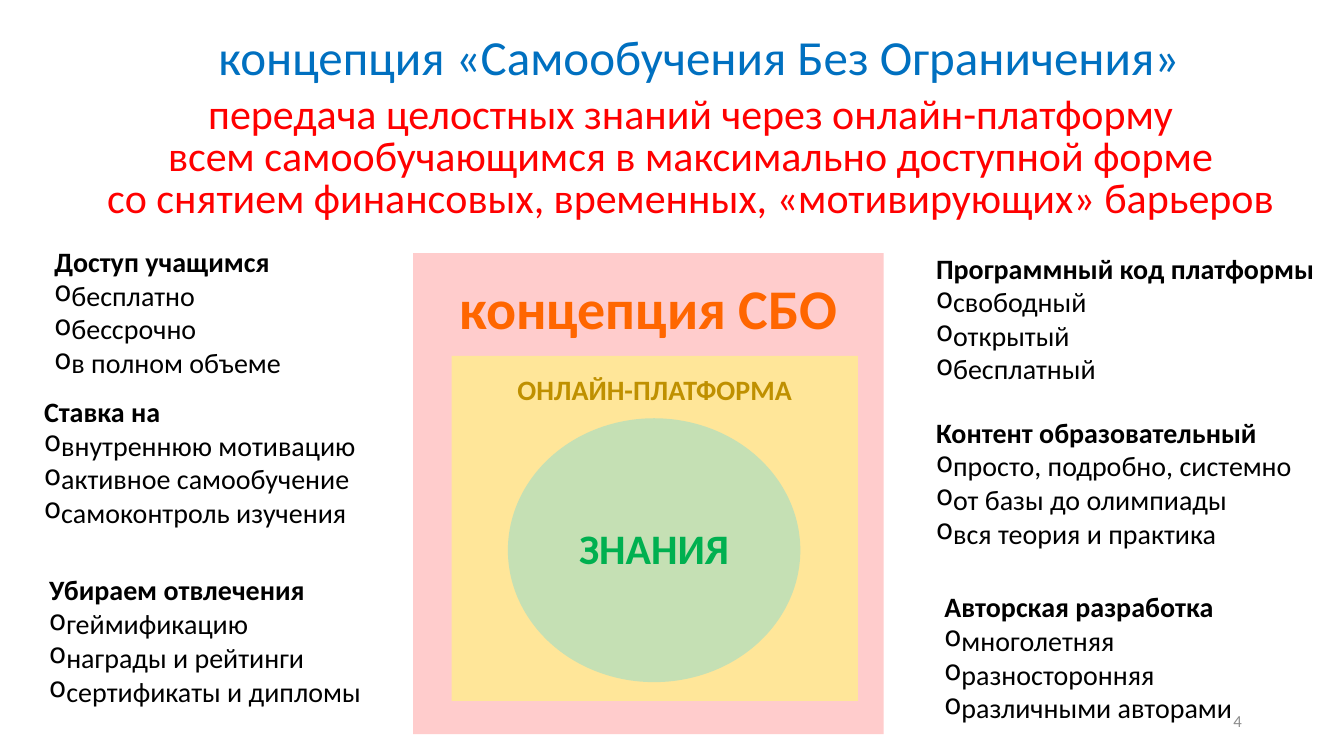
from lxml.etree import SubElement
from pptx import Presentation
from pptx.dml.color import RGBColor
from pptx.enum.shapes import MSO_SHAPE
from pptx.enum.text import MSO_ANCHOR, PP_ALIGN
from pptx.oxml.ns import qn
from pptx.util import Cm, Pt

COLOURS = {
    "title": "0070C0",
    "lead": "FF0000",
    "text": "000000",
    "number": "8C8C8C",
    "concept_fill": "FFCCCC",
    "concept_text": "FF6600",
    "platform_fill": "FFE699",
    "platform_text": "BF9000",
    "knowledge_fill": "C5E0B4",
    "knowledge_text": "00B050",
}
DEFAULT_MARGINS = (0.25, 0.13, 0.25, 0.13)

LEAD = (
    "передача целостных знаний через онлайн-платформу\n"
    "всем самообучающимся в максимально доступной форме\n"
    "со снятием финансовых, временных, «мотивирующих» барьеров"
)

FEATURE_LISTS = [
    ((1.12, 6.22, 6.63, 3.45), 0.8, "Доступ учащимся",
     ["бесплатно", "бессрочно", "в полном объеме"]),
    ((0.86, 9.8, 9.02, 3.76), 0.9, "Ставка на",
     ["внутреннюю мотивацию", "активное самообучение", "самоконтроль изучения"]),
    ((0.99, 14.3, 9.02, 3.76), 0.9, "Убираем отвлечения",
     ["геймификацию", "награды и рейтинги", "сертификаты и дипломы"]),
    ((23.34, 6.38, 10.72, 3.45), 0.8, "Программный код платформы",
     ["свободный", "открытый", "бесплатный"]),
    ((23.34, 10.54, 10.06, 3.4), 0.8, "Контент образовательный",
     ["просто, подробно, системно", "от базы до олимпиады", "вся теория и практика"]),
    ((23.55, 14.94, 8.71, 3.4), 0.8, "Авторская разработка",
     ["многолетняя", "разносторонняя", "различными авторами"]),
]


def apply_format(target, values):
    for name, value in values.items():
        setattr(target, name, value)


def colour(name):
    return RGBColor.from_string(COLOURS[name])


def set_frame(shape, anchor, margins=DEFAULT_MARGINS):
    frame = shape.text_frame
    sides = ("margin_left", "margin_top", "margin_right", "margin_bottom")
    apply_format(frame, dict(zip(sides, map(Cm, margins))))
    apply_format(frame, {"word_wrap": True, "vertical_anchor": anchor})
    return frame


def write_paragraph(paragraph, text, size, colour_name, bold=False, **layout):
    paragraph.text = text
    apply_format(paragraph, layout)
    for run in paragraph.runs:
        apply_format(run.font, {"name": "Calibri", "size": Pt(size), "bold": bold})
        run.font.color.rgb = colour(colour_name)


def add_bullet(paragraph):
    properties = paragraph._p.get_or_add_pPr()
    properties.set("marL", "0")
    properties.set("indent", str(-Cm(0.79)))
    SubElement(properties, qn("a:buChar")).set("char", "o")


def add_text(slide, box, text, size, colour_name, anchor=MSO_ANCHOR.MIDDLE,
             margins=DEFAULT_MARGINS, **layout):
    shape = slide.shapes.add_textbox(*map(Cm, box))
    frame = set_frame(shape, anchor, margins)
    write_paragraph(frame.paragraphs[0], text, size, colour_name, **layout)


def add_feature_list(slide, box, heading_spacing, heading, items):
    shape = slide.shapes.add_textbox(*map(Cm, box))
    frame = set_frame(shape, MSO_ANCHOR.MIDDLE)
    write_paragraph(frame.paragraphs[0], heading, 20, "text", bold=True,
                    line_spacing=heading_spacing)
    for item in items:
        paragraph = frame.add_paragraph()
        write_paragraph(paragraph, item, 20, "text", level=1)
        add_bullet(paragraph)


def add_layer(slide, kind, box, name, text, size, anchor, margins, **layout):
    shape = slide.shapes.add_shape(kind, *map(Cm, box))
    shape.shadow.inherit = False
    shape.fill.solid()
    shape.fill.fore_color.rgb = colour(f"{name}_fill")
    shape.line.fill.background()
    frame = set_frame(shape, anchor, margins)
    write_paragraph(frame.paragraphs[0], text, size, f"{name}_text", bold=True,
                    alignment=PP_ALIGN.CENTER, **layout)


def main():
    presentation = Presentation()
    apply_format(presentation, {"slide_width": Cm(33.87), "slide_height": Cm(19.05)})
    slide = presentation.slides.add_slide(presentation.slide_layouts[6])

    add_text(slide, (3.71, 0.56, 27.84, 1.88),
             "концепция «Самообучения Без Ограничения»", 35, "title",
             alignment=PP_ALIGN.CENTER, line_spacing=0.9)
    add_text(slide, (2.57, 2.41, 29.69, 3.23), LEAD, 30, "lead",
             anchor=MSO_ANCHOR.TOP, margins=(0, 0, 0, 0),
             alignment=PP_ALIGN.CENTER, line_spacing=Pt(30))

    add_layer(slide, MSO_SHAPE.RECTANGLE, (10.41, 6.38, 11.86, 12.12), "concept",
              "концепция СБО", 40, MSO_ANCHOR.TOP, (0.25, 0.51, 0.25, 0.51))
    add_layer(slide, MSO_SHAPE.RECTANGLE, (11.38, 8.97, 10.24, 8.69), "platform",
              "ОНЛАЙН-ПЛАТФОРМА", 20, MSO_ANCHOR.TOP, (0.25, 0.51, 0.25, 0.13),
              line_spacing=0.9, space_after=Pt(6))
    add_layer(slide, MSO_SHAPE.OVAL, (12.8, 10.54, 7.37, 6.65), "knowledge",
              "ЗНАНИЯ", 30, MSO_ANCHOR.MIDDLE, (0.25, 0, 0.25, 0.13))

    for feature_list in FEATURE_LISTS:
        add_feature_list(slide, *feature_list)

    add_text(slide, (23.93, 17.65, 7.62, 1.02), "4", 12, "number",
             alignment=PP_ALIGN.RIGHT)
    presentation.save("out.pptx")


if __name__ == "__main__":
    main()
